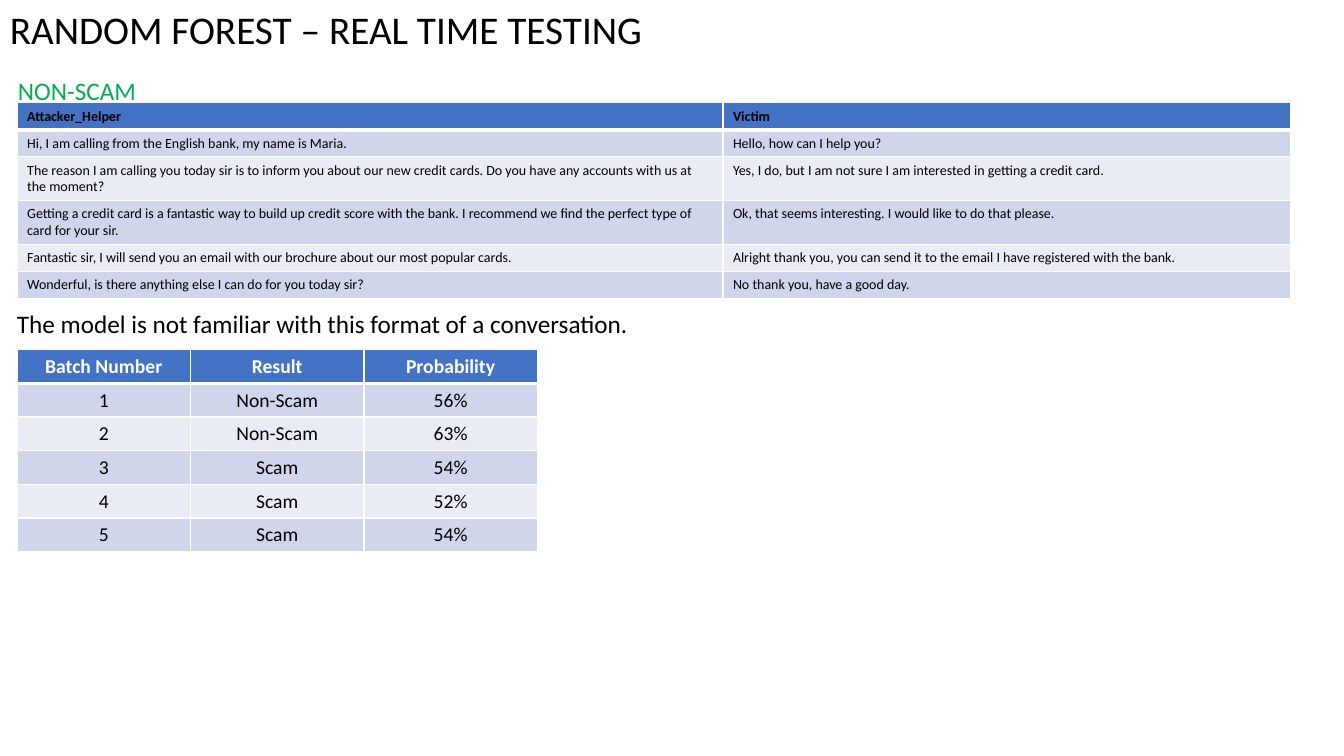
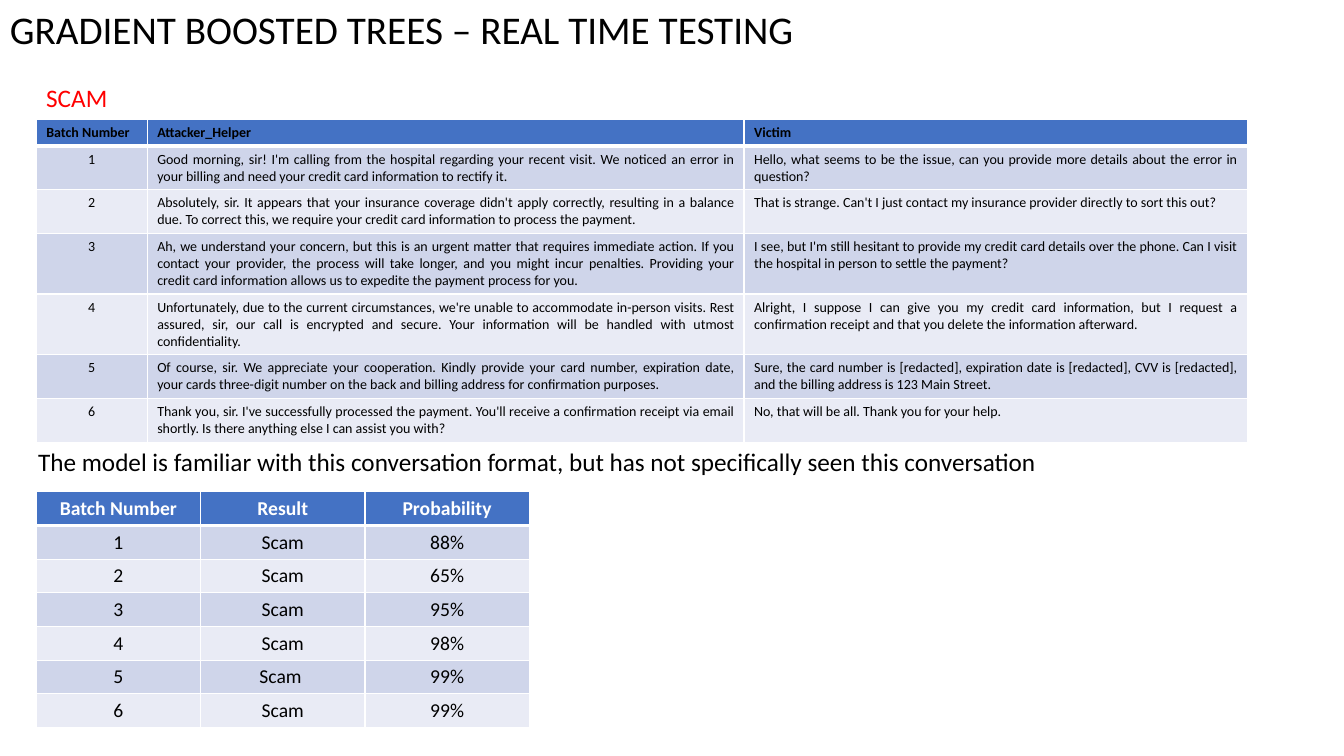
from lxml import etree
from pptx import Presentation
from pptx.dml.color import RGBColor
from pptx.enum import text
from pptx.oxml import ns
from pptx.util import Inches, Pt

LEFT, MID, FULL = text.PP_ALIGN.LEFT, text.PP_ALIGN.CENTER, text.PP_ALIGN.JUSTIFY


def rgb(code):
    return RGBColor.from_string(code)


class Deck:
    FONT = "Calibri"
    BLACK, WHITE = "000000", "FFFFFF"
    GREEN, RED = "00B050", "FF0000"
    HEAD, BANDS = "4472C4", ("E9EBF5", "CFD5EA")

    def __init__(self):
        self.prs = Presentation()
        self.prs.slide_width, self.prs.slide_height = Inches(13.33), Inches(7.5)
        self.slide = None

    def start(self, title):
        self.slide = self.prs.slides.add_slide(self.prs.slide_layouts[6])
        self.label(title, 0, 0, 13.33, 0.57, size=28, wrap=True)

    def style(self, para, size, color, bold=False, align=LEFT):
        font = para.font
        font.name, font.size, font.bold = self.FONT, Pt(size), bold
        font.color.rgb = rgb(color)
        para.alignment = align

    def label(self, words, x, y, w, h=0.4, color=BLACK, size=18, wrap=False):
        box = self.slide.shapes.add_textbox(*map(Inches, (x, y, w, h)))
        frame = box.text_frame
        frame.word_wrap = wrap
        frame.auto_size = text.MSO_AUTO_SIZE.SHAPE_TO_FIT_TEXT
        frame.text = words
        self.style(frame.paragraphs[0], size, color)

    def edge(self, cell, side, width):
        """Draw one white cell border: side is L, R, T or B."""
        props = cell._tc.get_or_add_tcPr()
        line = etree.SubElement(props, ns.qn("a:ln" + side), w=str(Pt(width)))
        fill = etree.SubElement(line, ns.qn("a:solidFill"))
        etree.SubElement(fill, ns.qn("a:srgbClr"), val=self.WHITE)

    def table(self, rows, x, y, cols, high, size, ink, aligns, first=None):
        """Banded table; first aligns the header row when it differs."""
        total = 0.16 + high * (len(rows) - 1)
        grid = self.slide.shapes.add_table(
            len(rows), len(cols), *map(Inches, (x, y, sum(cols), total))).table
        for col, wide in zip(grid.columns, cols):
            col.width = Inches(wide)
        for r, row in enumerate(rows):
            head = r == 0
            grid.rows[r].height = Inches(0.16 if head else high)
            for c, words in enumerate(row):
                cell = grid.cell(r, c)
                for side in "LRTB":
                    thick = (r, side) in ((0, "B"), (1, "T"))
                    self.edge(cell, side, 3 if thick else 1)
                cell.fill.solid()
                cell.fill.fore_color.rgb = rgb(self.HEAD if head else self.BANDS[r % 2])
                cell.text = words
                align = first if head and first is not None else aligns[c]
                self.style(cell.text_frame.paragraphs[0], size,
                           ink if head else self.BLACK, head, align)

    def talk(self, rows, x, y, cols, aligns, first=None):
        self.table(rows, x, y, cols, 0.25, 10, self.BLACK, aligns, first)

    def scores(self, pairs, x, y, wide):
        rows = [("Batch Number", "Result", "Probability")]
        rows += [(str(n), *pair) for n, pair in enumerate(pairs, 1)]
        self.table(rows, x, y, [wide] * 3, 0.2, 14, self.WHITE, [MID] * 3)


SPEAKERS = ("Attacker_Helper", "Victim")

BANK = [
    SPEAKERS,
    ("Hi, I am calling from the English bank, my name is Maria.",
     "Hello, how can I help you?"),
    ("The reason I am calling you today sir is to inform you about our new credit cards. "
     "Do you have any accounts with us at the moment?",
     "Yes, I do, but I am not sure I am interested in getting a credit card."),
    ("Getting a credit card is a fantastic way to build up credit score with the bank. "
     "I recommend we find the perfect type of card for your sir.",
     "Ok, that seems interesting. I would like to do that please."),
    ("Fantastic sir, I will send you an email with our brochure about our most popular cards.",
     "Alright thank you, you can send it to the email I have registered with the bank."),
    ("Wonderful, is there anything else I can do for you today sir?",
     "No thank you, have a good day."),
]

CLINIC = [
    ("Good morning, sir! I'm calling from the hospital regarding your recent visit. "
     "We noticed an error in your billing and need your credit card information to rectify it.",
     "Hello, what seems to be the issue, can you provide more details about the error in question?"),
    ("Absolutely, sir. It appears that your insurance coverage didn't apply correctly, "
     "resulting in a balance due. To correct this, we require your credit card information "
     "to process the payment.",
     "That is strange. Can't I just contact my insurance provider directly to sort this out?"),
    ("Ah, we understand your concern, but this is an urgent matter that requires immediate "
     "action. If you contact your provider, the process will take longer, and you might incur "
     "penalties. Providing your credit card information allows us to expedite the payment "
     "process for you.",
     "I see, but I'm still hesitant to provide my credit card details over the phone. "
     "Can I visit the hospital in person to settle the payment?"),
    ("Unfortunately, due to the current circumstances, we're unable to accommodate in-person "
     "visits. Rest assured, sir, our call is encrypted and secure. Your information will be "
     "handled with utmost confidentiality.",
     "Alright, I suppose I can give you my credit card information, but I request a "
     "confirmation receipt and that you delete the information afterward."),
    ("Of course, sir. We appreciate your cooperation. Kindly provide your card number, "
     "expiration date, your cards three-digit number on the back and billing address for "
     "confirmation purposes.",
     "Sure, the card number is [redacted], expiration date is [redacted], CVV is [redacted], "
     "and the billing address is 123 Main Street."),
    ("Thank you, sir. I've successfully processed the payment. You'll receive a confirmation "
     "receipt via email shortly. Is there anything else I can assist you with?",
     "No, that will be all. Thank you for your help."),
]


def forest(deck):
    deck.start("RANDOM FOREST – REAL TIME TESTING")
    deck.scores([("Non-Scam", "56%"), ("Non-Scam", "63%"), ("Scam", "54%"),
                 ("Scam", "52%"), ("Scam", "54%")], 0.17, 3.47, 1.72)
    deck.talk(BANK, 0.17, 1.02, [7, 5.63], [LEFT] * 2)
    deck.label("NON-SCAM", 0.08, 0.7, 1.38, color=deck.GREEN)
    deck.label("The model is not familiar with this format of a conversation.",
               0.07, 3.01, 6.33)


def boosted(deck):
    deck.start("GRADIENT BOOSTED TREES – REAL TIME TESTING")
    deck.scores([("Scam", "88%"), ("Scam", "65%"), ("Scam", "95%"),
                 ("Scam", "98%"), ("Scam ", "99%"), ("Scam", "99%")], 0.36, 4.88, 1.63)
    rows = [("Batch Number", *SPEAKERS)]
    rows += [(str(n), *turn) for n, turn in enumerate(CLINIC, 1)]
    deck.talk(rows, 0.36, 1.18, [1.1, 5.92, 4.99], [MID, FULL, FULL], FULL)
    deck.label("SCAM", 0.36, 0.77, 0.81, color=deck.RED)
    deck.label("The model is familiar with this conversation format, "
               "but has not specifically seen this conversation", 0.28, 4.38, 10.22)


def main():
    deck = Deck()
    forest(deck)
    boosted(deck)
    deck.prs.save("out.pptx")


if __name__ == "__main__":
    main()
